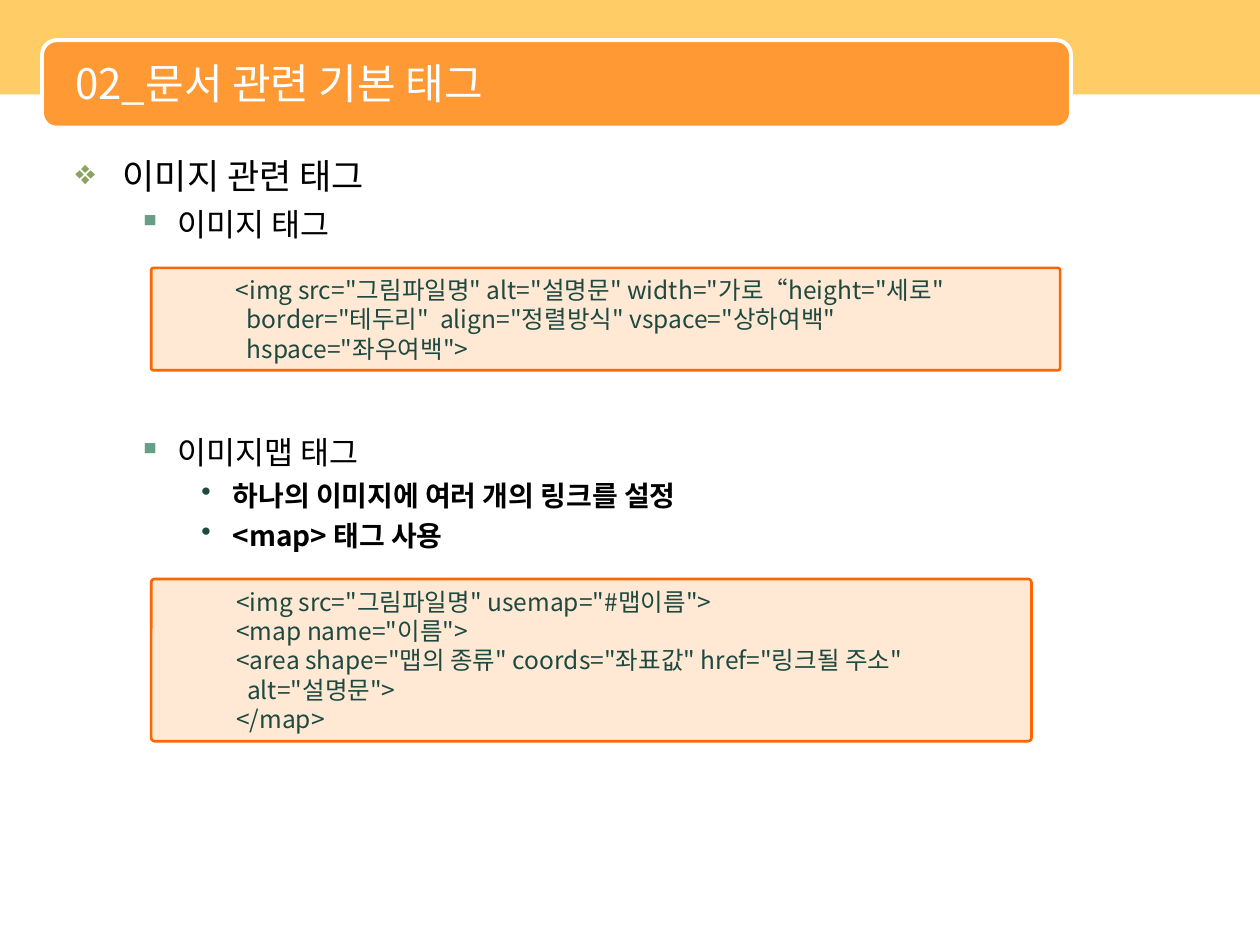
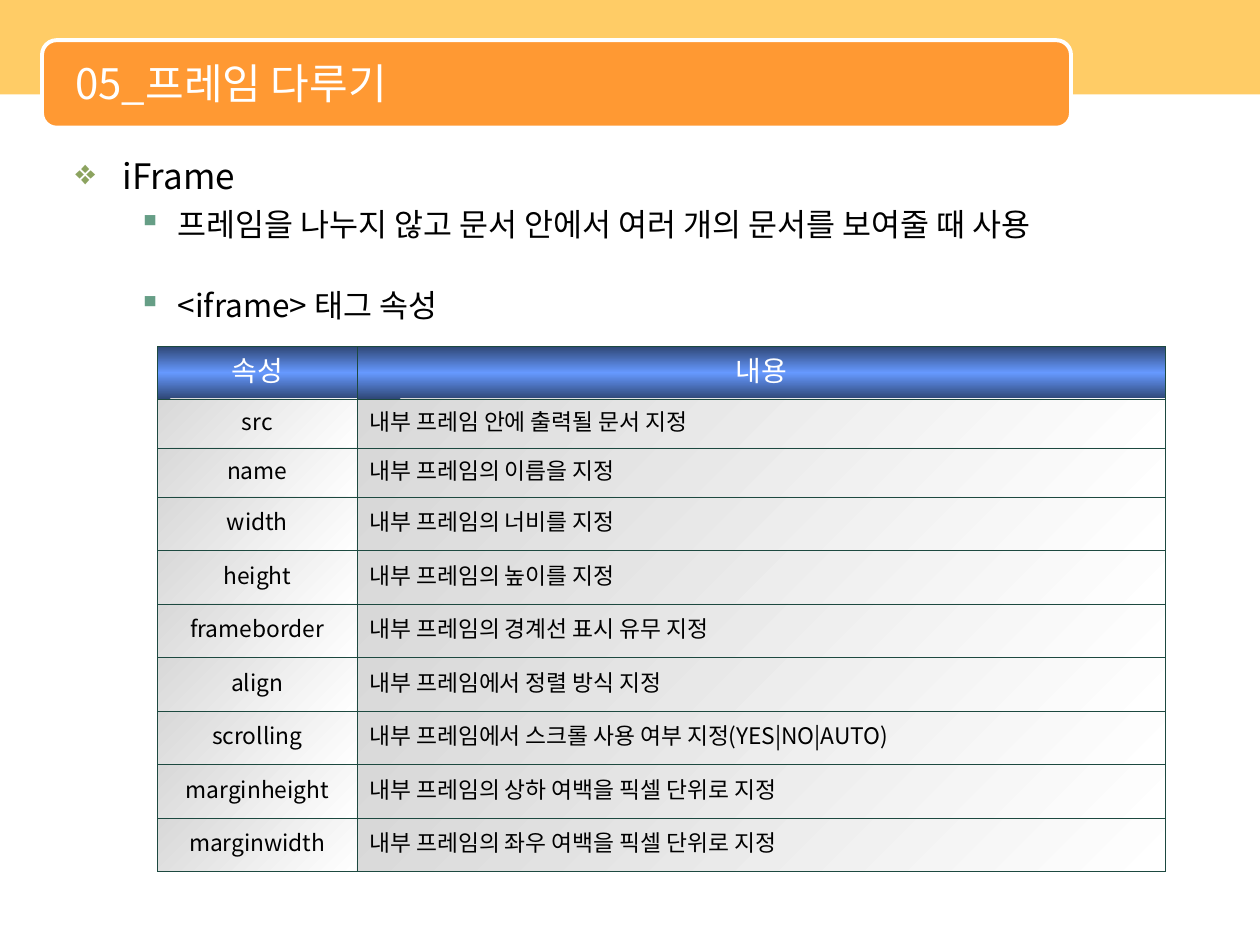
"""Build two slides about HTML image tags and inline frames."""
from lxml import etree
from pptx import Presentation
from pptx.dml.color import RGBColor
from pptx.enum.shapes import MSO_SHAPE as Shape
from pptx.enum.text import MSO_ANCHOR as Anchor, PP_ALIGN as Align
from pptx.oxml.ns import qn
from pptx.util import Pt

FONT = "Noto Sans CJK KR"
INK, WHITE, BLACK = "1D4940", "FFFFFF", "000000"
BAND, TITLE_FILL, CODE_FILL, CODE_LINE = "FFCC66", "FF9933", "FFCC99", "FF6600"
HEADER_STOPS = [(0, "2F4776"), (50, "6699FF"), (100, "2F4776")]
BODY_STOPS = [(0, "D8D8D8"), (100, "FFFFFF")]
LINE_PITCH = 1.2

LEVELS = [
    {"size": 20, "before": 5, "left": 27, "hang": 27, "bullet": "❖", "color": "8CA35F", "bold": False},
    {"size": 18, "before": 4.5, "left": 58.5, "hang": 22.5, "bullet": "▪", "color": "669E86", "bold": False},
    {"size": 16, "before": 4, "left": 90, "hang": 18, "bullet": "•", "color": INK, "bold": True},
]

IMAGE_TITLE = "02_문서 관련 기본 태그"
IMAGE_OUTLINE = [
    (0, "이미지 관련 태그", 0),
    (1, "이미지 태그", 0),
    (1, "이미지맵 태그", 104.4),
    (2, "하나의 이미지에 여러 개의 링크를 설정", 0),
    (2, "<map> 태그 사용", 0),
]
CODE_BOXES = [
    ((86.4, 153.1, 519.4, 58.5), [
        '<img src="그림파일명" alt="설명문" width="가로“height="세로"\v'
        '  border="테두리"  align="정렬방식" vspace="상하여백"\v'
        '  hspace="좌우여백">',
    ]),
    ((86.4, 330.9, 503, 92.7), [
        '<img src="그림파일명" usemap="#맵이름">',
        '<map name="이름">',
        '<area shape="맵의 종류" coords="좌표값" href="링크될 주소"\v  alt="설명문">',
        '</map>',
    ]),
]

FRAME_TITLE = "05_프레임 다루기"
FRAME_OUTLINE = [
    (0, "iFrame", 0),
    (1, "프레임을 나누지 않고 문서 안에서 여러 개의 문서를 보여줄 때 사용", 0),
    (1, "<iframe> 태그 속성", 20.3),
]
FRAME_ATTRIBUTES = [
    ("속성", "내용"),
    ("src", "내부 프레임 안에 출력될 문서 지정"),
    ("name", "내부 프레임의 이름을 지정"),
    ("width", "내부 프레임의 너비를 지정"),
    ("height", "내부 프레임의 높이를 지정"),
    ("frameborder", "내부 프레임의 경계선 표시 유무 지정"),
    ("align", "내부 프레임에서 정렬 방식 지정"),
    ("scrolling", "내부 프레임에서 스크롤 사용 여부 지정(YES|NO|AUTO)"),
    ("marginheight", "내부 프레임의 상하 여백을 픽셀 단위로 지정"),
    ("marginwidth", "내부 프레임의 좌우 여백을 픽셀 단위로 지정"),
]
COLUMN_WIDTHS = [114, 462]
ROW_HEIGHTS = [30, 28, 28] + [30.6] * 7


def rgb(color):
    return RGBColor.from_string(color)


def child(parent, tag, **attributes):
    return etree.SubElement(parent, qn(tag), {key: str(value) for key, value in attributes.items()})


def solid(parent, color):
    return child(child(parent, "a:solidFill"), "a:srgbClr", val=color)


def style(para, size, color, bold=False):
    para.line_spacing = Pt(size * LINE_PITCH)
    for span in para.runs:
        span.font.size, span.font.bold = Pt(size), bold
        span.font.color.rgb = rgb(color)
        span.font.name = FONT
        child(span.font._element, "a:ea", typeface=FONT)


def add_panel(slide, kind, place, fill, line=None, weight=0, corner=None):
    panel = slide.shapes.add_shape(kind, *map(Pt, place))
    panel.shadow.inherit = False
    panel.fill.solid()
    panel.fill.fore_color.rgb = rgb(fill)
    if corner is not None:
        panel.adjustments[0] = corner
    if line:
        panel.line.color.rgb = rgb(line)
        panel.line.width = Pt(weight)
    else:
        panel.line.fill.background()
    return panel


def add_text_box(slide, place):
    frame = slide.shapes.add_textbox(*map(Pt, place)).text_frame
    frame.word_wrap = True
    return frame


def add_paragraphs(frame, texts):
    for number, text in enumerate(texts):
        para = frame.add_paragraph() if number else frame.paragraphs[0]
        para.text = text
        yield para


def add_titled_slide(deck, title, outline):
    slide = deck.slides.add_slide(deck.slide_layouts[6])
    add_panel(slide, Shape.RECTANGLE, (0, 0, 720, 54), BAND)
    add_panel(slide, Shape.ROUNDED_RECTANGLE, (24, 23, 588, 50), TITLE_FILL, WHITE, 2.25, 0.167)
    frame = add_text_box(slide, (36, 25, 570, 45))
    frame.vertical_anchor = Anchor.MIDDLE
    frame.text = title
    style(frame.paragraphs[0], 24, WHITE)

    frame = add_text_box(slide, (36, 85, 648, 419))
    paras = add_paragraphs(frame, [text for _, text, _ in outline])
    for number, (para, (depth, _, gap)) in enumerate(zip(paras, outline)):
        level = LEVELS[depth]
        style(para, level["size"], BLACK, level["bold"])
        if number:
            para.space_before = Pt(level["before"] + gap)
        properties = para._p.get_or_add_pPr()
        properties.set("marL", str(Pt(level["left"])))
        properties.set("indent", str(-Pt(level["hang"])))
        child(child(properties, "a:buClr"), "a:srgbClr", val=level["color"])
        child(properties, "a:buChar", char=level["bullet"])
    return slide


def add_code_box(slide, place, code):
    box = add_panel(slide, Shape.ROUNDED_RECTANGLE, place, CODE_FILL, CODE_LINE, 1.5, 0.021)
    tint = box._element.spPr.find(qn("a:solidFill")).find(qn("a:srgbClr"))
    child(tint, "a:alpha", val=42000)
    frame = box.text_frame
    frame.word_wrap = True
    frame.vertical_anchor = Anchor.MIDDLE
    frame.margin_left, frame.margin_right = Pt(48), 0
    for para in add_paragraphs(frame, code):
        para.alignment = Align.LEFT
        style(para, 14, INK)


def paint_cell(cell, stops, angle):
    properties = cell._tc.get_or_add_tcPr()
    for side in ("a:lnL", "a:lnR", "a:lnT", "a:lnB"):
        solid(child(properties, side, w=Pt(0.45)), INK)
    gradient = child(properties, "a:gradFill", rotWithShape=1)
    stop_list = child(gradient, "a:gsLst")
    for position, color in stops:
        child(child(stop_list, "a:gs", pos=position * 1000), "a:srgbClr", val=color)
    child(gradient, "a:lin", ang=angle * 60000, scaled=0)


def add_attribute_table(slide):
    size = len(FRAME_ATTRIBUTES), len(COLUMN_WIDTHS)
    place = 90, 198, sum(COLUMN_WIDTHS), sum(ROW_HEIGHTS)
    table = slide.shapes.add_table(*size, *map(Pt, place)).table
    for column, width in zip(table.columns, COLUMN_WIDTHS):
        column.width = Pt(width)
    for row, height in zip(table.rows, ROW_HEIGHTS):
        row.height = Pt(height)
    for row_number, texts in enumerate(FRAME_ATTRIBUTES):
        header = row_number == 0
        for column_number, text in enumerate(texts):
            cell = table.cell(row_number, column_number)
            cell.vertical_anchor = Anchor.MIDDLE
            cell.text_frame.text = text
            para = cell.text_frame.paragraphs[0]
            para.alignment = Align.CENTER if header or column_number == 0 else Align.LEFT
            style(para, 16 if header else 13, WHITE if header else BLACK)
            paint_cell(cell, HEADER_STOPS if header else BODY_STOPS, 90 if header else 45)


def main():
    deck = Presentation()
    deck.slide_width, deck.slide_height = Pt(720), Pt(540)
    image_slide = add_titled_slide(deck, IMAGE_TITLE, IMAGE_OUTLINE)
    for place, code in CODE_BOXES:
        add_code_box(image_slide, place, code)
    add_attribute_table(add_titled_slide(deck, FRAME_TITLE, FRAME_OUTLINE))
    deck.save("out.pptx")


if __name__ == "__main__":
    main()
